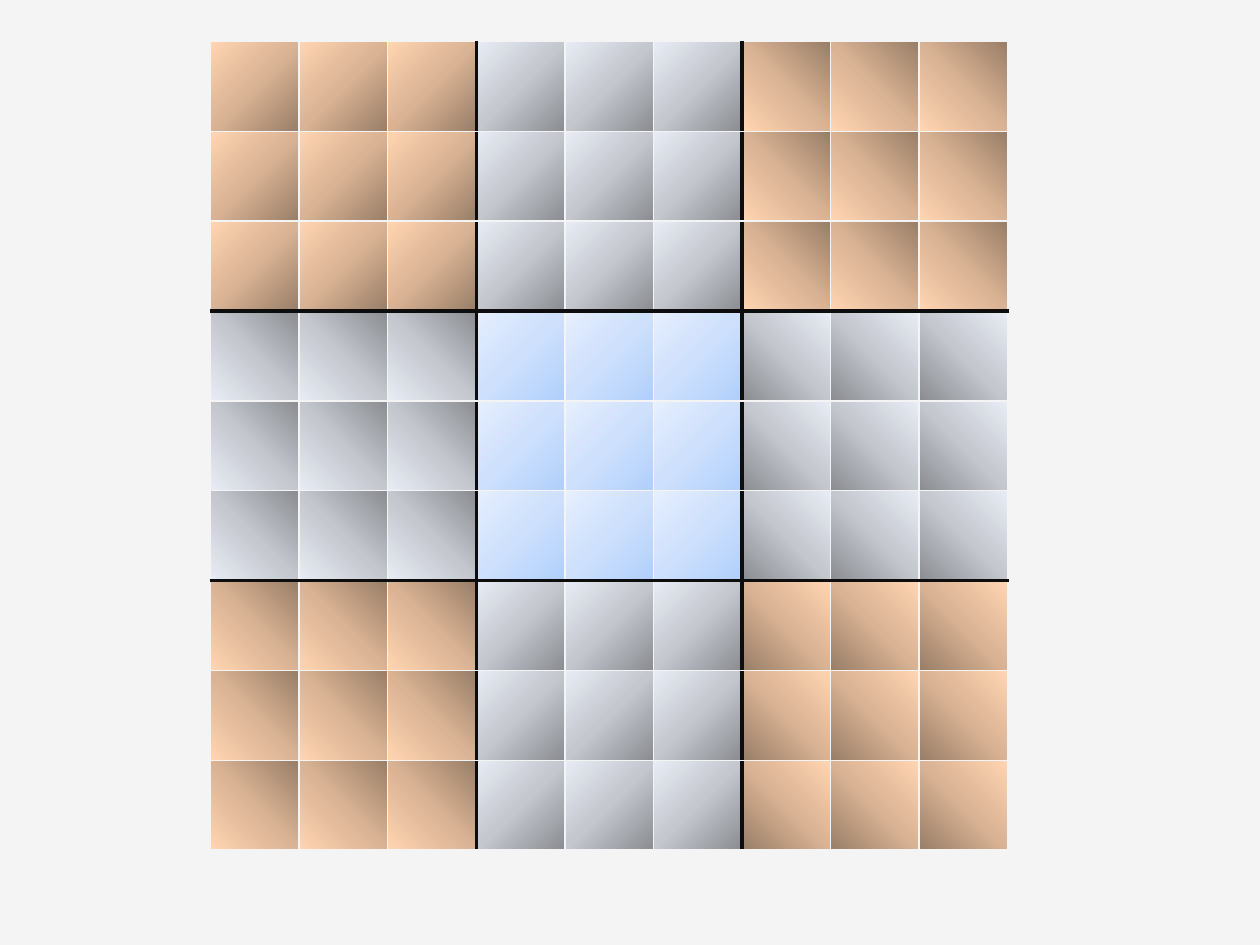
"""Build a nine-by-nine board of gradient cells, split into nine blocks."""
import lxml.etree
import pptx
import pptx.dml.color
import pptx.oxml.ns
import pptx.util

Inches = pptx.util.Inches
qn = pptx.oxml.ns.qn

THEME = {
    "paper": "F4F4F4",
    "ink": "0D0D0D",
    "thin": 1,
    "thick": 2.25,
    "tan": ("987E68", "D9B394", "FFD5B2"),
    "grey": ("8A8C91", "C4C7CE", "E8ECF4"),
    "blue": ("B0CFFB", "CEE0FC", "E6EFFD"),
}
BLOCKS = [
    [("tan", "rb"), ("grey", "rb"), ("tan", "rt")],
    [("grey", "rt"), ("blue", None), ("grey", "lb")],
    [("tan", "rt"), ("grey", "rb"), ("tan", "lb")],
]
BLOCK_SIZE = 3
BOARD_SIZE = BLOCK_SIZE * len(BLOCKS)
OPPOSITE = {"l": "r", "r": "l", "t": "b", "b": "t"}
LEFT, TOP, WIDTH, HEIGHT = Inches(1.67), Inches(0.33), Inches(6.33), Inches(6.42)


def add(parent, tag, **attributes):
    return lxml.etree.SubElement(parent, qn(tag), {key: str(value) for key, value in attributes.items()})


def add_border(properties, side, on_block_edge):
    color, weight = (THEME["ink"], THEME["thick"]) if on_block_edge else (THEME["paper"], THEME["thin"])
    border = add(properties, f"a:ln{side}", w=pptx.util.Pt(weight), cap="flat", cmpd="sng", algn="ctr")
    add(add(border, "a:solidFill"), "a:srgbClr", val=color)
    add(border, "a:prstDash", val="solid")


def add_gradient(properties, palette, dark_corner):
    gradient = add(properties, "a:gradFill", rotWithShape=1)
    stops = add(gradient, "a:gsLst")
    for index, color in enumerate(THEME[palette]):
        add(add(stops, "a:gs", pos=index * 50000), "a:srgbClr", val=color)
    if dark_corner:
        focus = {OPPOSITE[side]: 100000 for side in dark_corner}
        add(add(gradient, "a:path", path="circle"), "a:fillToRect", **focus)
        add(gradient, "a:tileRect", **{side: -100000 for side in dark_corner})
    else:
        add(gradient, "a:lin", ang=225 * 60000, scaled=1)


def is_block_edge(line):
    return 0 < line < BOARD_SIZE and line % BLOCK_SIZE == 0


presentation = pptx.Presentation()
presentation.slide_width, presentation.slide_height = Inches(10), Inches(7.5)
slide = presentation.slides.add_slide(presentation.slide_layouts[6])
slide.background.fill.solid()
slide.background.fill.fore_color.rgb = pptx.dml.color.RGBColor.from_string(THEME["paper"])

board = slide.shapes.add_table(BOARD_SIZE, BOARD_SIZE, LEFT, TOP, WIDTH, HEIGHT).table
board.first_row = board.horz_banding = False

for row in range(BOARD_SIZE):
    for column in range(BOARD_SIZE):
        properties = board.cell(row, column)._tc.get_or_add_tcPr()
        for side, line in (("L", column), ("R", column + 1), ("T", row), ("B", row + 1)):
            add_border(properties, side, is_block_edge(line))
        add_gradient(properties, *BLOCKS[row // BLOCK_SIZE][column // BLOCK_SIZE])

presentation.save("out.pptx")
